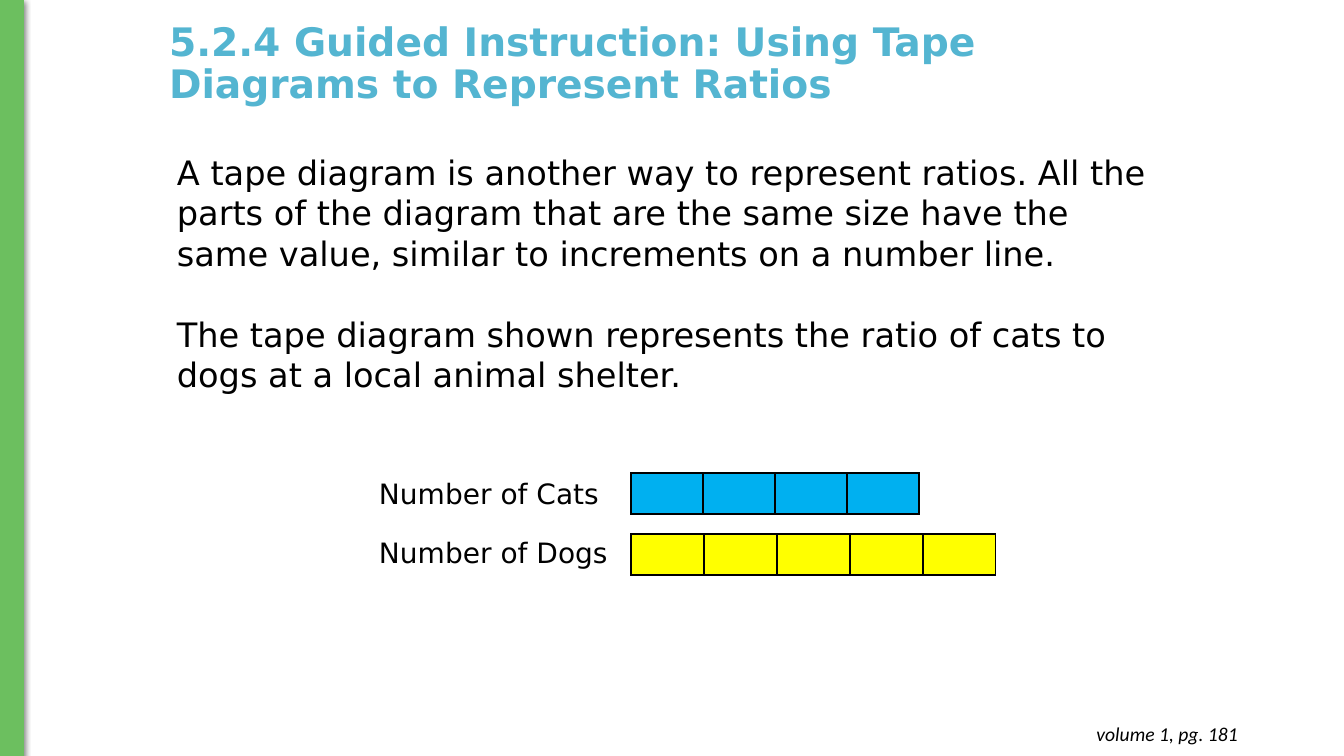
from collections import namedtuple
from dataclasses import dataclass

from lxml.etree import SubElement
from pptx import Presentation
from pptx.dml.color import RGBColor
from pptx.enum.shapes import MSO_SHAPE
from pptx.enum.text import MSO_ANCHOR, MSO_AUTO_SIZE, PP_ALIGN
from pptx.oxml import parse_xml
from pptx.oxml.ns import nsdecls, qn
from pptx.util import Emu, Pt

Box = namedtuple("Box", "left top width height")


@dataclass(frozen=True)
class Theme:
    heading: str = "54B5D1"
    text: str = "000000"
    strip: str = "6CBF5F"
    cats: str = "00B0F0"
    dogs: str = "FFFF00"
    font: str = "DejaVu Sans"
    footer_font: str = "Calibri"
    title_size: int = 28
    body_size: int = 24
    label_size: int = 20
    footer_size: int = 14
    empty_size: int = 8
    paragraph_gap: int = 29


THEME = Theme()


def px(length):
    return Emu(round(length * 914400 / 100.8))


def place(box):
    return [px(length) for length in box]


def format_runs(paragraph, size, color=THEME.text, name=THEME.font, bold=False, italic=False):
    for run in paragraph.runs:
        font = run.font
        font.size = Pt(size)
        font.name = name
        font.bold = bold
        font.italic = italic
        font.color.rgb = RGBColor.from_string(color)


def add_side_strip(slide, box):
    strip = slide.shapes.add_shape(MSO_SHAPE.RECTANGLE, *place(box))
    strip.fill.solid()
    strip.fill.fore_color.rgb = RGBColor.from_string(THEME.strip)
    strip.line.color.rgb = RGBColor.from_string(THEME.strip)
    strip.line.width = Pt(0.75)
    strip.shadow.inherit = False
    effects = strip._element.spPr.find(qn("a:effectLst"))
    effects.append(parse_xml(
        f'<a:outerShdw {nsdecls("a")} blurRad="{Pt(4.5)}" dist="{Pt(1.5)}" dir="5400000">'
        '<a:srgbClr val="000000"><a:alpha val="50000"/></a:srgbClr></a:outerShdw>'
    ))


def add_title(slide, box, text):
    title = slide.shapes.title
    title.left, title.top, title.width, title.height = place(box)
    frame = title.text_frame
    frame.text = text
    frame.word_wrap = True
    frame.auto_size = MSO_AUTO_SIZE.NONE
    frame.vertical_anchor = MSO_ANCHOR.MIDDLE
    paragraph = frame.paragraphs[0]
    paragraph.alignment = PP_ALIGN.LEFT
    paragraph.line_spacing = 0.9
    format_runs(paragraph, THEME.title_size, THEME.heading, bold=True)


def add_body(slide, box, texts):
    frame = slide.shapes.add_textbox(*place(box)).text_frame
    frame.word_wrap = True
    frame.text = "\n".join(texts)
    for index, paragraph in enumerate(frame.paragraphs):
        if index:
            paragraph.space_before = Pt(THEME.paragraph_gap)
        format_runs(paragraph, THEME.body_size)


def add_grid(slide, box, columns, rows):
    table = slide.shapes.add_table(len(rows), len(columns), *place(box)).table
    table.first_row = False
    table.horz_banding = False
    for column, width in zip(table.columns, columns):
        column.width = px(width)
    for row, height in zip(table.rows, rows):
        row.height = px(height)
    for cell in table.iter_cells():
        cell.margin_left = cell.margin_right = px(7)
        cell.margin_top = cell.margin_bottom = 0
        cell.fill.background()
        ending = cell.text_frame.paragraphs[0]._p.get_or_add_endParaRPr()
        ending.set("sz", str(THEME.empty_size * 100))
    return table


def add_labels(slide, box, labels):
    columns = [258, 53] + [72] * 4
    row_height = 41
    rows = [row_height, box.height - 2 * row_height, row_height]
    table = add_grid(slide, box, columns, rows)
    for row, label in zip((0, 2), labels):
        cell = table.cell(row, 0)
        cell.text_frame.text = label
        format_runs(cell.text_frame.paragraphs[0], THEME.label_size)


def add_borders(cell):
    properties = cell._tc.get_or_add_tcPr()
    for index, side in enumerate(("lnL", "lnR", "lnT", "lnB")):
        line = SubElement(properties, qn(f"a:{side}"), w=str(Pt(1)))
        properties.insert(index, line)
        fill = SubElement(line, qn("a:solidFill"))
        SubElement(fill, qn("a:srgbClr"), val=THEME.text)


def add_tape(slide, box, parts, color):
    table = add_grid(slide, box, [box.width / parts] * parts, [box.height])
    for cell in table.iter_cells():
        add_borders(cell)
        cell.fill.solid()
        cell.fill.fore_color.rgb = RGBColor.from_string(color)


def add_tape_diagram(slide, box):
    add_labels(slide, Box(box.left, box.top + 5, 599, 100), ["Number of Cats", "Number of Dogs"])
    tapes = [(4, 72, THEME.cats), (5, 73, THEME.dogs)]
    for index, (parts, part_width, color) in enumerate(tapes):
        tape = Box(box.left + 259, box.top + 61 * index, parts * part_width, 41)
        add_tape(slide, tape, parts, color)


def add_page_reference(slide, box, text):
    frame = slide.shapes.add_textbox(*place(box)).text_frame
    frame.word_wrap = True
    frame.margin_left = frame.margin_right = px(10)
    frame.margin_top = frame.margin_bottom = px(10)
    frame.text = text
    paragraph = frame.paragraphs[0]
    paragraph.alignment = PP_ALIGN.RIGHT
    format_runs(paragraph, THEME.footer_size, name=THEME.footer_font, italic=True)


def build_lesson_slide(presentation):
    slide = presentation.slides.add_slide(presentation.slide_layouts[5])
    add_title(
        slide, Box(159, -8, 884, 146),
        "5.2.4 Guided Instruction: Using Tape Diagrams to Represent Ratios",
    )
    add_body(slide, Box(167, 147, 995, 254), [
        "A tape diagram is another way to represent ratios. All the parts of the diagram "
        "that are the same size have the same value, similar to increments on a number line.",
        "The tape diagram shown represents the ratio of cats to dogs at a local animal shelter.",
    ])
    add_tape_diagram(slide, Box(372, 473, 624, 105))
    add_side_strip(slide, Box(0, 0, 24, 757))
    add_page_reference(slide, Box(958, 712, 290, 44), "volume 1, pg. 181")


def main():
    presentation = Presentation()
    presentation.slide_width = px(1344)
    presentation.slide_height = px(756)
    build_lesson_slide(presentation)
    presentation.save("out.pptx")


if __name__ == "__main__":
    main()
